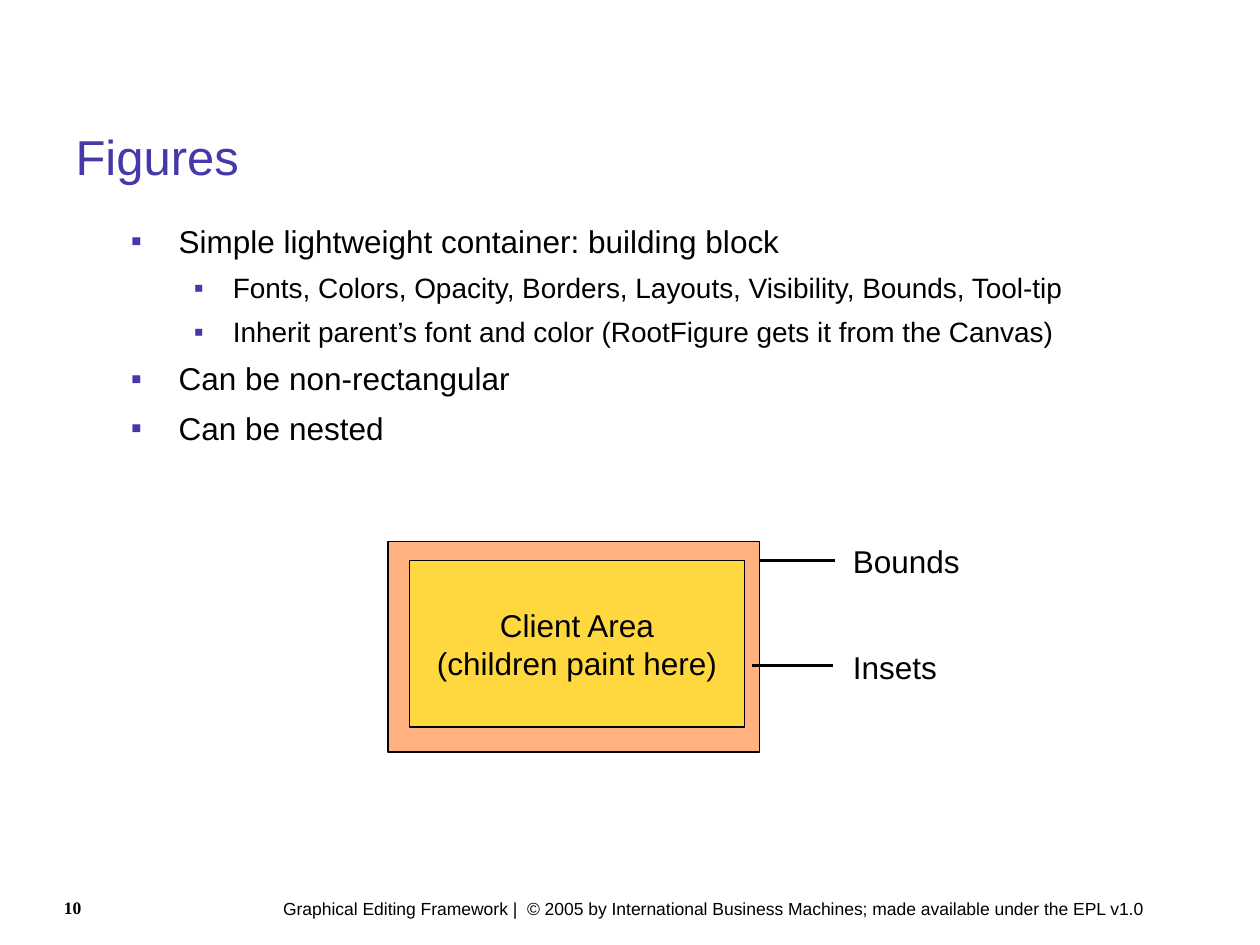
from lxml import etree
from pptx import Presentation
from pptx.dml.color import RGBColor
from pptx.enum.shapes import MSO_CONNECTOR, MSO_SHAPE
from pptx.enum.text import MSO_ANCHOR, MSO_AUTO_SIZE, PP_ALIGN
from pptx.oxml.ns import qn
from pptx.util import Inches, Pt

LEFT, CENTER = PP_ALIGN.LEFT, PP_ALIGN.CENTER
TOP, MIDDLE = MSO_ANCHOR.TOP, MSO_ANCHOR.MIDDLE
RECTANGLE = MSO_SHAPE.RECTANGLE
STRAIGHT = MSO_CONNECTOR.STRAIGHT
NO_AUTOFIT = MSO_AUTO_SIZE.NONE
TITLE_ONLY = 5

BLACK, VIOLET, ORANGE, YELLOW = "000000", "4538A8", "FF6600", "FFFF00"

# Per outline level: text size, indent, hanging width, space before and after
LEVELS = [
    {"size": 18, "indent": 0.38, "hanging": 0.38, "before": 2.2, "after": 4.5},
    {"size": 16, "indent": 0.81, "hanging": 0.31, "before": 2, "after": 4},
]
OUTLINE = [
    (0, "Simple lightweight container: building block"),
    (1, "Fonts, Colors, Opacity, Borders, Layouts, Visibility, Bounds, Tool-tip"),
    (1, "Inherit parent’s font and color (RootFigure gets it from the Canvas)"),
    (0, "Can be non-rectangular"),
    (0, "Can be nested"),
]
FOOTER = (" Graphical Editing Framework |  © 2005 by International Business Machines; "
          "made available under the EPL v1.0")


def rgb(color):
    return RGBColor.from_string(color)


def apply(target, values):
    for name, value in values.items():
        setattr(target, name, value)


class FigureSlide:
    def __init__(self, deck, font="Arial"):
        self.page = deck.slides.add_slide(deck.slide_layouts[TITLE_ONLY])
        self.font = font

    def span(self, para, text, size, color=BLACK, **extra):
        run = para.add_run()
        run.text = text
        run.font.color.rgb = rgb(color)
        apply(run.font, {"name": self.font, "size": Pt(size), **extra})

    def fill_text(self, shape, lines, size, color=BLACK, align=LEFT, anchor=TOP, wrap=True,
                  **extra):
        frame = shape.text_frame
        apply(frame, {"word_wrap": wrap, "auto_size": NO_AUTOFIT, "vertical_anchor": anchor})
        for index, line in enumerate(lines):
            para = frame.add_paragraph() if index else frame.paragraphs[0]
            para.alignment = align
            self.span(para, line, size, color, **extra)

    def title(self, text, *place):
        shape = self.page.shapes.title
        apply(shape, dict(zip(("left", "top", "width", "height"), map(Inches, place))))
        self.fill_text(shape, [text], 28, VIOLET, anchor=MIDDLE)

    def box(self, *place):
        return self.page.shapes.add_textbox(*map(Inches, place))

    def label(self, text, *place, size=18, **extra):
        self.fill_text(self.box(*place), [text], size, **extra)

    def bullet(self, para, indent, hanging):
        properties = para._p.get_or_add_pPr()
        properties.set("marL", str(Inches(indent)))
        properties.set("indent", str(-Inches(hanging)))
        color = etree.SubElement(properties, qn("a:buClr"))
        etree.SubElement(color, qn("a:srgbClr"), val=VIOLET)
        etree.SubElement(properties, qn("a:buFont"), typeface=self.font)
        etree.SubElement(properties, qn("a:buChar"), char="▪")

    def outline(self, items, *place):
        frame = self.box(*place).text_frame
        frame.word_wrap = True
        for index, (level, text) in enumerate(items):
            style = LEVELS[level]
            para = frame.add_paragraph() if index else frame.paragraphs[0]
            self.bullet(para, style["indent"], style["hanging"])
            before = style["before"] if index else 0
            apply(para, {"level": level, "space_before": Pt(before),
                         "space_after": Pt(style["after"])})
            self.span(para, text, style["size"])

    def translucent_rectangle(self, color, *place):
        shape = self.page.shapes.add_shape(RECTANGLE, *map(Inches, place))
        shape.shadow.inherit = False
        shape.fill.solid()
        shape.fill.fore_color.rgb = rgb(color)
        fill_color = shape._element.spPr.find(qn("a:solidFill")).find(qn("a:srgbClr"))
        etree.SubElement(fill_color, qn("a:alpha"), val="50000")
        shape.line.color.rgb = rgb(BLACK)
        shape.line.width = Pt(0.75)
        return shape

    def pointer(self, start, end, height):
        line = self.page.shapes.add_connector(
            STRAIGHT, *map(Inches, (start, height, end, height)))
        line.line.color.rgb = rgb(BLACK)
        line.line.width = Pt(1.5)
        etree.SubElement(line._element.spPr, qn("a:effectLst"))


def main():
    deck = Presentation()
    apply(deck, {"slide_width": Inches(10), "slide_height": Inches(7.5)})
    slide = FigureSlide(deck)

    slide.label(FOOTER, 2.11, 7.08, 7.22, 0.27, size=10)
    slide.outline(OUTLINE, 0.94, 1.71, 8.31, 2.37)
    slide.title("Figures", 0.5, 0.92, 9, 0.63)

    slide.translucent_rectangle(ORANGE, 3.08, 4.3, 2.95, 1.67)
    client_area = slide.translucent_rectangle(YELLOW, 3.25, 4.45, 2.66, 1.32)
    slide.fill_text(client_area, ["Client Area", "(children paint here)"], 18,
                    align=CENTER, anchor=MIDDLE, wrap=False)

    slide.pointer(6.03, 6.63, 4.45)
    slide.pointer(5.97, 6.61, 5.28)
    slide.label("Bounds", 6.67, 4.25, 1.4, 0.4)
    slide.label("Insets", 6.67, 5.09, 1.42, 0.4)
    slide.label("10", 0.41, 7.07, 0.86, 0.35, size=10, name="Times New Roman", bold=True)

    deck.save("out.pptx")


if __name__ == "__main__":
    main()
